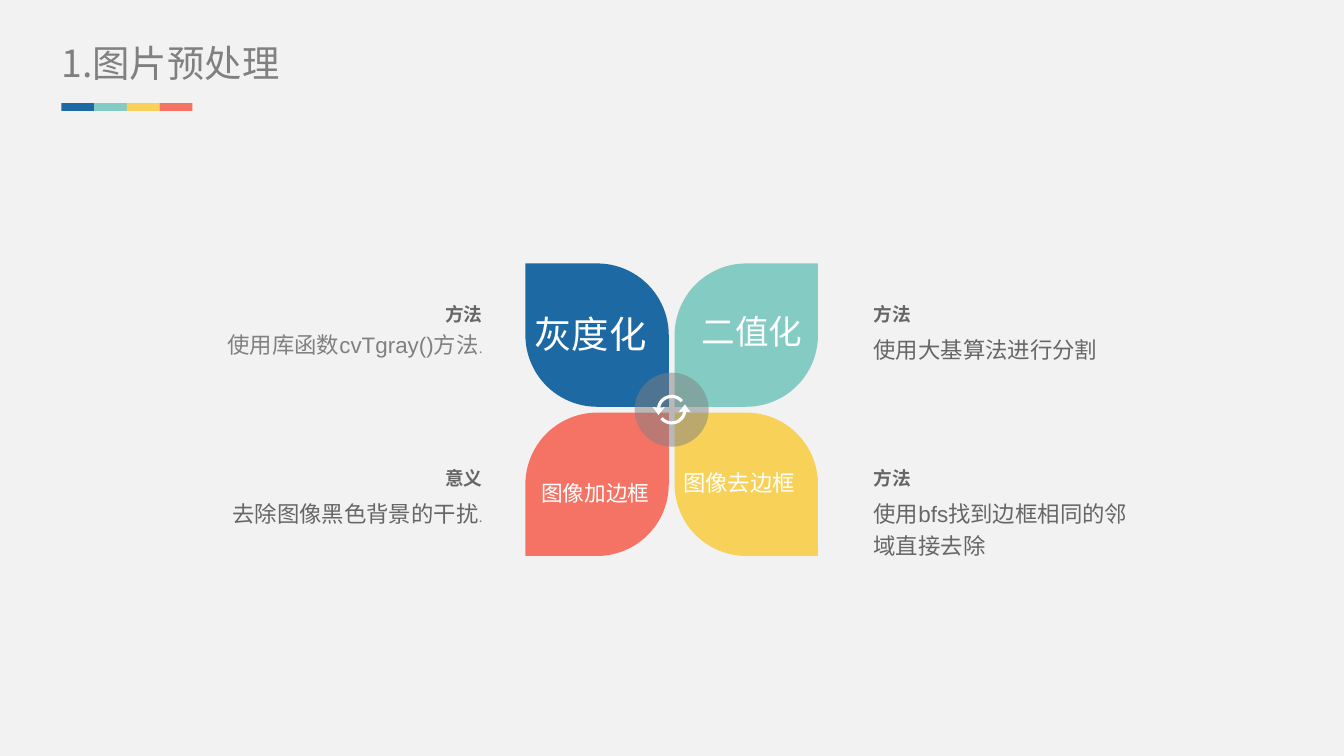
from math import cos, radians, sin

from lxml import etree
from pptx import Presentation
from pptx.dml.color import RGBColor
from pptx.enum.shapes import MSO_SHAPE
from pptx.enum.text import MSO_AUTO_SIZE, PP_ALIGN
from pptx.oxml.ns import qn
from pptx.util import Cm, Pt

LEFT, MID, RIGHT = PP_ALIGN.LEFT, PP_ALIGN.CENTER, PP_ALIGN.RIGHT
RECT, OVAL = MSO_SHAPE.RECTANGLE, MSO_SHAPE.OVAL
PETAL = MSO_SHAPE.ROUND_2_DIAG_RECTANGLE
GROW = MSO_AUTO_SIZE.SHAPE_TO_FIT_TEXT

BLUE, TEAL, YELLOW, CORAL = "1D69A3", "84CBC3", "F8D158", "F57365"
GREY, DARK, WHITE, PAPER = "808080", "666666", "FFFFFF", "F2F2F2"


def tint(color, value):
    color.rgb = RGBColor.from_string(value)


def paint(shape, value):
    shape.fill.solid()
    tint(shape.fill.fore_color, value)
    shape.line.fill.background()
    shape.shadow.inherit = False


def block(group, kind, x, y, w, h, color):
    shape = group.add_shape(kind, Cm(x), Cm(y), Cm(w), Cm(h))
    paint(shape, color)
    return shape


def frame(slide, x, y, w, h, wrap=True):
    text = slide.shapes.add_textbox(Cm(x), Cm(y), Cm(w), Cm(h)).text_frame
    text.margin_left = text.margin_right = 0
    text.margin_top = text.margin_bottom = 0
    text.word_wrap = wrap
    text.auto_size = GROW
    return text


def style(font, size, color, name="Calibri", bold=False):
    font.size, font.name, font.bold = Pt(size), name, bold
    tint(font.color, color)


def write(para, words, align, *look, **more):
    para.alignment = align
    para.add_run().text = words
    style(para.font, *look, **more)


def add_title(slide, x, y):
    text = frame(slide, x, y, 7.72, 0.86)
    write(text.paragraphs[0], "1.图片预处理", LEFT, 20, GREY, "Noto Sans CJK SC")
    # Four-colour underline
    bar = slide.shapes.add_group_shape().shapes
    step = 0.62
    for i, color in enumerate((BLUE, TEAL, YELLOW, CORAL)):
        block(bar, RECT, x + i * step, y + 1.19, step, 0.15, color)


def add_petals(slide, x, y, size, gap):
    for i, color in enumerate((BLUE, TEAL, CORAL, YELLOW)):
        row, col = divmod(i, 2)
        leaf = block(slide.shapes, PETAL, x + col * (size + gap),
                     y + row * (size + gap), size, size, color)
        # Round the corners across the one that points outwards
        leaf.adjustments[0] = 0 if row == col else 0.5
        leaf.adjustments[1] = 0.5 if row == col else 0


def add_labels(slide, x, y):
    # Words, offset from the flower, size, points, wrap
    labels = (
        ("灰度化", -0.89, 0.91, 4.24, 0.86, 20, True),
        ("二值化", 1.96, 0.89, 4.65, 0.76, 18, True),
        ("图像加边框", 0.13, 3.61, 2.39, 0.56, 20, False),
        ("图像去边框", 2.44, 3.88, 3.2, 0.51, 12, True),
    )
    for words, dx, dy, w, h, size, wrap in labels:
        para = frame(slide, x + dx, y + dy, w, h, wrap).paragraphs[0]
        write(para, words, MID, size, WHITE)
        if not wrap:  # this label is set as a subscript
            para.runs[0].font._element.set("baseline", "-25000")


def add_hub(slide, x, y, size):
    disc = block(slide.shapes, OVAL, x - size / 2, y - size / 2, size, size, GREY)
    tone = disc.fill._xPr.find(qn("a:solidFill"))[0]
    etree.SubElement(tone, qn("a:alpha")).set("val", "50000")
    # Two arrows chasing each other, the second turned by half a circle
    turns = [radians(a) for a in range(140, 7, -6)]
    outer = [(0.28 * cos(a), 0.28 * sin(a)) for a in turns]
    inner = [(0.22 * cos(a), 0.22 * sin(a)) for a in reversed(turns)]
    head = [(0.36, 0.05), (0.25, -0.1), (0.13, 0.05)]
    for sign in (1, -1):
        spots = [(Cm(x + sign * px), Cm(y + sign * py))
                 for px, py in outer + head + inner]
        pen = slide.shapes.build_freeform(*spots[0])
        pen.add_line_segments(spots[1:], close=True)
        paint(pen.convert_to_shape(), WHITE)


def add_flower(slide, x, y, size, gap):
    add_petals(slide, x, y, size, gap)
    add_labels(slide, x, y)
    half = size + gap / 2
    add_hub(slide, x + half, y + half, 1.4)


def add_note(slide, x, y, h, align, head, body, font="Arial",
             color=DARK, space=1.2, dot=False):
    text = frame(slide, x, y, 5.21, h)
    top, para = text.paragraphs[0], text.add_paragraph()
    write(top, head, align, 10, DARK, bold=True)
    write(para, body, align, 12, color, font)
    top.space_before = para.space_before = Pt(3)
    top.line_spacing = 1.2
    if space:
        para.line_spacing = space
    if dot:
        run = para.add_run()
        run.text = "."
        style(run.font, 8, GREY)


def main():
    deck = Presentation()
    deck.slide_width, deck.slide_height = Cm(25.4), Cm(14.29)
    slide = deck.slides.add_slide(deck.slide_layouts[6])
    slide.background.fill.solid()
    tint(slide.background.fill.fore_color, PAPER)

    add_flower(slide, 9.93, 4.98, 2.71, 0.11)

    # Notes beside the petals
    west, east, high, low = 3.91, 16.51, 5.64, 8.74
    add_note(slide, west, high, 1.14, RIGHT, "方法", "使用库函数cvTgray()方法",
             color=GREY, space=None, dot=True)
    add_note(slide, west, low, 1.17, RIGHT, "意义", "去除图像黑色背景的干扰", dot=True)
    add_note(slide, east, high, 1.19, LEFT, "方法", "使用大基算法进行分割", "Calibri")
    add_note(slide, east, low, 1.78, LEFT, "方法", "使用bfs找到边框相同的邻域直接去除")

    add_title(slide, 1.16, 0.76)
    deck.save("out.pptx")


if __name__ == "__main__":
    main()
